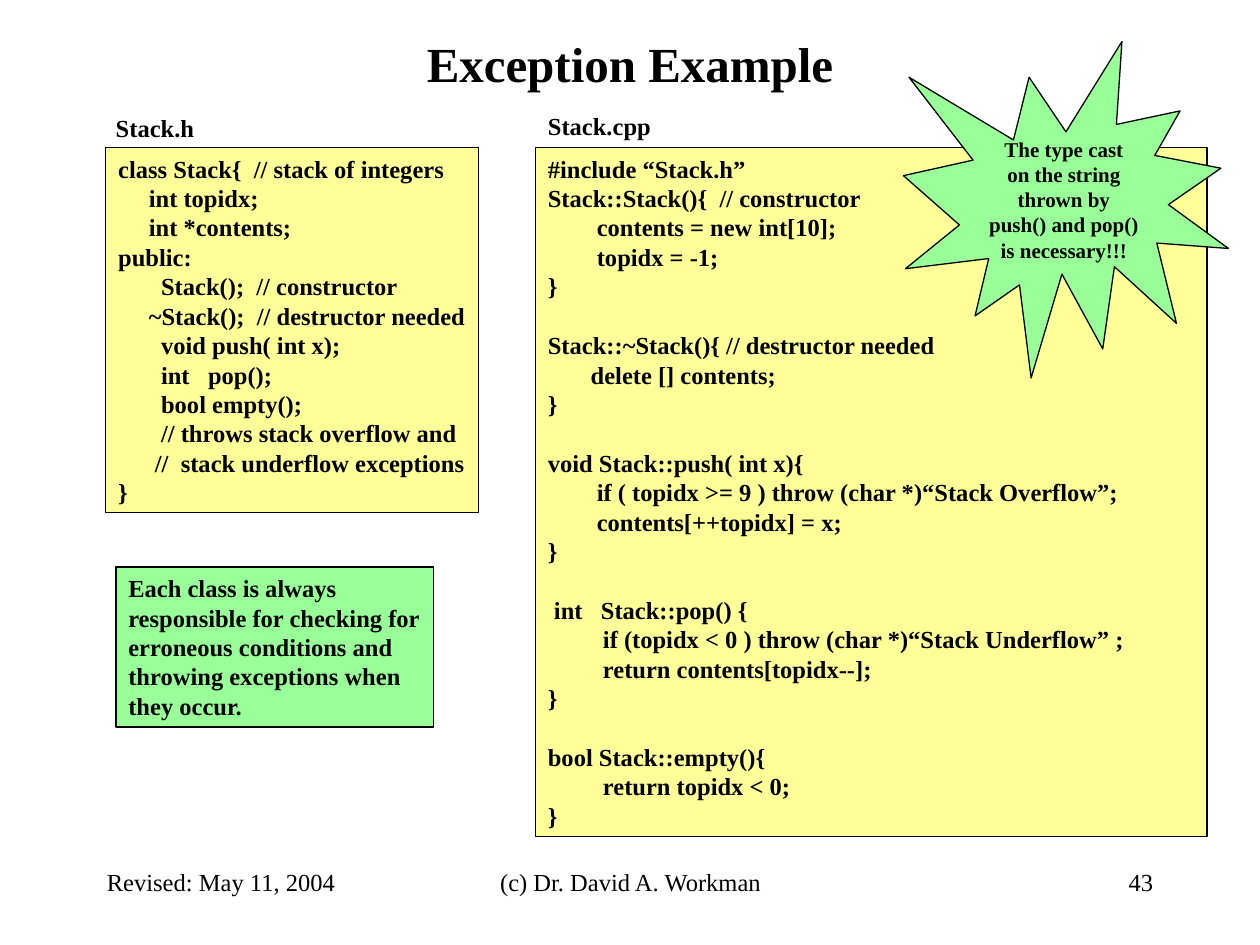
from pptx import Presentation
from pptx.dml.color import RGBColor
from pptx.enum.shapes import MSO_SHAPE
from pptx.enum.text import MSO_ANCHOR, MSO_AUTO_SIZE, PP_ALIGN
from pptx.util import Inches, Pt

RECTANGLE, BURST = MSO_SHAPE.RECTANGLE, MSO_SHAPE.EXPLOSION1
TOP, MIDDLE = MSO_ANCHOR.TOP, MSO_ANCHOR.MIDDLE
LEFT, CENTER, RIGHT = PP_ALIGN.LEFT, PP_ALIGN.CENTER, PP_ALIGN.RIGHT
FIT_SHAPE, FIXED = MSO_AUTO_SIZE.SHAPE_TO_FIT_TEXT, MSO_AUTO_SIZE.NONE

COLORS = {"ink": "000000", "code": "FFFF99", "note": "99FF99"}

HEADER_CODE = """\
class Stack{  // stack of integers
     int topidx;
     int *contents;
public:
       Stack();  // constructor
     ~Stack();  // destructor needed
       void push( int x);
       int   pop();
       bool empty();
       // throws stack overflow and
      //  stack underflow exceptions
}"""

SOURCE_CODE = """\
#include “Stack.h”
Stack::Stack(){  // constructor
        contents = new int[10];
        topidx = -1;
}

Stack::~Stack(){ // destructor needed
       delete [] contents;
}

void Stack::push( int x){
        if ( topidx >= 9 ) throw (char *)“Stack Overflow”;
        contents[++topidx] = x;
}

 int   Stack::pop() {
         if (topidx < 0 ) throw (char *)“Stack Underflow” ;
         return contents[topidx--];
}

bool Stack::empty(){
         return topidx < 0;
}"""

CLASS_NOTE = """\
Each class is always
responsible for checking for
erroneous conditions and
throwing exceptions when
they occur."""

CAST_NOTE = """\
The type cast
on the string
thrown by
push() and pop()
is necessary!!!"""


class SlideBuilder:
    """Holds the text style and the slide being built."""

    font_name = "Times New Roman"
    leading = 1.2

    def __init__(self, page):
        self.page = page

    def color(self, name):
        return RGBColor.from_string(COLORS[name])

    def fill_text(self, box, paragraphs, size=14, bold=True, align=LEFT,
                  anchor=TOP, wrap=False, fit=FIXED):
        """Fill a box; an empty paragraph becomes one line of space."""
        frame = box.text_frame
        frame_format = {"word_wrap": wrap, "auto_size": fit,
                        "vertical_anchor": anchor}
        for name, value in frame_format.items():
            setattr(frame, name, value)
        line_height = Pt(size * self.leading)
        font_format = {"name": self.font_name, "size": Pt(size), "bold": bold}
        para, gap = frame.paragraphs[0], 0
        for index, text in enumerate(paragraphs):
            if not text:
                gap = line_height
                continue
            if index:
                para = frame.add_paragraph()
            para.text = text
            para_format = {"alignment": align, "line_spacing": line_height,
                           "space_before": gap}
            for name, value in para_format.items():
                setattr(para, name, value)
            for span in para.runs:
                for name, value in font_format.items():
                    setattr(span.font, name, value)
                span.font.color.rgb = self.color("ink")
            gap = 0

    def label(self, place, text, **style):
        box = self.page.shapes.add_textbox(*map(Inches, place))
        self.fill_text(box, [text], **style)

    def panel(self, kind, place, fill, paragraphs, **style):
        box = self.page.shapes.add_shape(kind, *map(Inches, place))
        box.shadow.inherit = False
        box.fill.solid()
        box.fill.fore_color.rgb = self.color(fill)
        box.line.color.rgb = self.color("ink")
        box.line.width = Pt(0.75)
        self.fill_text(box, paragraphs, **style)

    def code(self, place, text, **style):
        self.panel(RECTANGLE, place, "code", text.split("\n"),
                   fit=FIT_SHAPE, **style)

    def note(self, kind, place, text, **style):
        """Add a note whose lines are breaks within one paragraph."""
        self.panel(kind, place, "note", [text.replace("\n", "\v")], **style)


def main():
    deck = Presentation()
    deck.slide_width, deck.slide_height = Inches(10), Inches(7.5)
    builder = SlideBuilder(deck.slides.add_slide(deck.slide_layouts[6]))

    builder.label((0.75, 0.25, 8.5, 0.5), "Exception Example", size=28,
                  align=CENTER, anchor=MIDDLE, wrap=True)
    builder.code((0.84, 1.17, 2.96, 2.9), HEADER_CODE)
    builder.note(RECTANGLE, (0.92, 4.5, 2.52, 1.27), CLASS_NOTE, fit=FIT_SHAPE)
    builder.label((0.82, 0.85, 0.82, 0.34), "Stack.h", fit=FIT_SHAPE)
    builder.code((4.25, 1.17, 5.33, 5.47), SOURCE_CODE, wrap=True)
    builder.label((4.25, 0.83, 1.02, 0.34), "Stack.cpp", fit=FIT_SHAPE)
    builder.note(BURST, (7.17, 0.33, 2.58, 2.67), CAST_NOTE, size=12,
                 align=CENTER, anchor=MIDDLE)

    footers = [
        (3.42, 3.17, "(c) Dr. David A. Workman", CENTER),
        (7.17, 2.08, "43", RIGHT),
        (0.75, 2.08, "Revised: May 11, 2004", LEFT),
    ]
    for left, width, text, align in footers:
        builder.label((left, 6.83, width, 0.5), text, bold=False,
                      align=align, wrap=True)

    deck.save("out.pptx")


if __name__ == "__main__":
    main()
